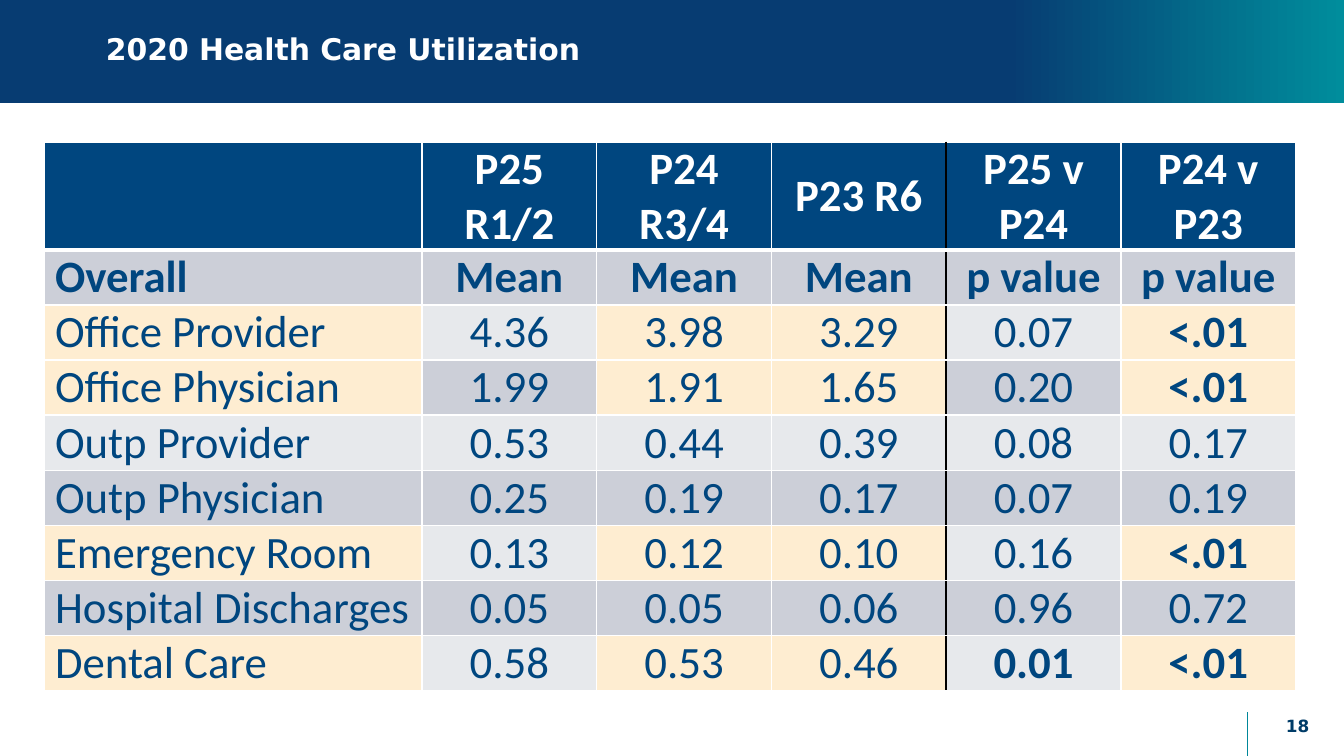
"""Build the 2020 health care utilization slide."""
from lxml.etree import SubElement
from pptx import Presentation
from pptx.dml.color import RGBColor
from pptx.enum.shapes import MSO_CONNECTOR, MSO_SHAPE
from pptx.enum.text import MSO_ANCHOR, PP_ALIGN
from pptx.oxml.ns import qn
from pptx.util import Inches, Pt

WHITE = RGBColor(0xFF, 0xFF, 0xFF)
BLACK = RGBColor(0x00, 0x00, 0x00)
NAVY = RGBColor(0x07, 0x3C, 0x72)
TEAL = RGBColor(0x00, 0x8D, 0x9C)
RULE = RGBColor(0x00, 0x87, 0x99)
BLUE = RGBColor(0x00, 0x46, 0x7F)
PAGE = RGBColor(0x00, 0x3C, 0x68)
CREAM = RGBColor(0xFE, 0xED, 0xD1)
BANDS = (RGBColor(0xE7, 0xE9, 0xEC), RGBColor(0xCC, 0xCF, 0xD8))

SLIDE_WIDTH = 10
SLIDE_HEIGHT = SLIDE_WIDTH * 9 / 16
SIGNIFICANT = ("<.01", "0.01")
HIGHLIGHT_COLS = (0, 2, 3, 5)
COL_WIDTHS = (2.81, 1.3, 1.3, 1.3, 1.3, 1.3)
ROW_HEIGHT = 0.41
ROWS = (
    ("", "P25 R1/2", "P24 R3/4", "P23 R6", "P25 v P24", "P24 v P23"),
    ("Overall", "Mean", "Mean", "Mean", "p value", "p value"),
    ("Office Provider", "4.36", "3.98", "3.29", "0.07", "<.01"),
    ("Office Physician", "1.99", "1.91", "1.65", "0.20", "<.01"),
    ("Outp Provider", "0.53", "0.44", "0.39", "0.08", "0.17"),
    ("Outp Physician", "0.25", "0.19", "0.17", "0.07", "0.19"),
    ("Emergency Room", "0.13", "0.12", "0.10", "0.16", "<.01"),
    ("Hospital Discharges", "0.05", "0.05", "0.06", "0.96", "0.72"),
    ("Dental Care", "0.58", "0.53", "0.46", "0.01", "<.01"),
)


def set_font(p, name, size, color, bold):
    p.font.name = name
    p.font.size = Pt(size)
    p.font.color.rgb = color
    p.font.bold = bold


def add_banner(s):
    sp = s.shapes.add_shape(MSO_SHAPE.RECTANGLE, 0, 0, Inches(SLIDE_WIDTH), Inches(0.77))
    sp.shadow.inherit = False
    sp.line.fill.background()
    sp.fill.gradient()
    sp.fill.gradient_angle = 0
    for stop, position, color in zip(sp.fill.gradient_stops, (0.75, 1), (NAVY, TEAL)):
        stop.position = position
        stop.color.rgb = color


def add_rule(s):
    x = Inches(9.28)
    line = s.shapes.add_connector(MSO_CONNECTOR.STRAIGHT, x, Inches(5.3), x,
                                  Inches(SLIDE_HEIGHT))
    line.line.color.rgb = RULE
    line.line.width = Pt(0.75)
    SubElement(line._element.spPr, qn("a:effectLst"))


def add_text(s, text, box, size, color, align, spacing=1.0):
    tf = s.shapes.add_textbox(*map(Inches, box)).text_frame
    tf.word_wrap = True
    tf.vertical_anchor = MSO_ANCHOR.MIDDLE
    p = tf.paragraphs[0]
    p.text = text
    p.alignment = align
    p.line_spacing = spacing
    set_font(p, "DejaVu Sans", size, color, True)


def set_borders(cell, row, col):
    tc_pr = cell._tc.get_or_add_tcPr()
    colors = {"L": BLACK if col == 4 else WHITE, "R": BLACK if col == 3 else WHITE,
              "T": WHITE, "B": WHITE}
    for side, color in colors.items():
        thick = (side, row) in (("B", 0), ("T", 1))
        ln = SubElement(tc_pr, qn(f"a:ln{side}"), w=str(Pt(3 if thick else 1)))
        fill = SubElement(ln, qn("a:solidFill"))
        SubElement(fill, qn("a:srgbClr"), val=str(color))


def cell_fill(row, col):
    if row == 0:
        return BLUE
    if ROWS[row][-1] in SIGNIFICANT and col in HIGHLIGHT_COLS:
        return CREAM
    return BANDS[row % 2]


def fill_cell(cell, row, col):
    set_borders(cell, row, col)
    cell.fill.solid()
    cell.fill.fore_color.rgb = cell_fill(row, col)
    cell.vertical_anchor = MSO_ANCHOR.MIDDLE
    cell.margin_left = cell.margin_right = Inches(0.08)
    cell.margin_top = cell.margin_bottom = 0
    text = ROWS[row][col]
    p = cell.text_frame.paragraphs[0]
    p.text = text
    p.alignment = PP_ALIGN.CENTER if col else PP_ALIGN.LEFT
    bold = row < 2 or (col > 3 and text in SIGNIFICANT)
    set_font(p, "Calibri", 24, BLUE if row else WHITE, bold)


def add_utilization_table(s):
    table = s.shapes.add_table(
        len(ROWS), len(COL_WIDTHS), Inches(0.33), Inches(1.06),
        Inches(sum(COL_WIDTHS)), Inches(ROW_HEIGHT * len(ROWS))).table
    for column, width in zip(table.columns, COL_WIDTHS):
        column.width = Inches(width)
    for row, texts in enumerate(ROWS):
        for col in range(len(texts)):
            fill_cell(table.cell(row, col), row, col)


def main():
    prs = Presentation()
    prs.slide_width = Inches(SLIDE_WIDTH)
    prs.slide_height = Inches(SLIDE_HEIGHT)
    s = prs.slides.add_slide(prs.slide_layouts[6])
    add_banner(s)
    add_rule(s)
    add_text(s, "2020 Health Care Utilization", (0.69, 0, 8.15, 0.76),
             16, WHITE, PP_ALIGN.LEFT, 0.9)
    add_utilization_table(s)
    add_text(s, "18", (9.31, 5.25, 0.69, 0.3), 9, PAGE, PP_ALIGN.CENTER)
    prs.save("out.pptx")


if __name__ == "__main__":
    main()
